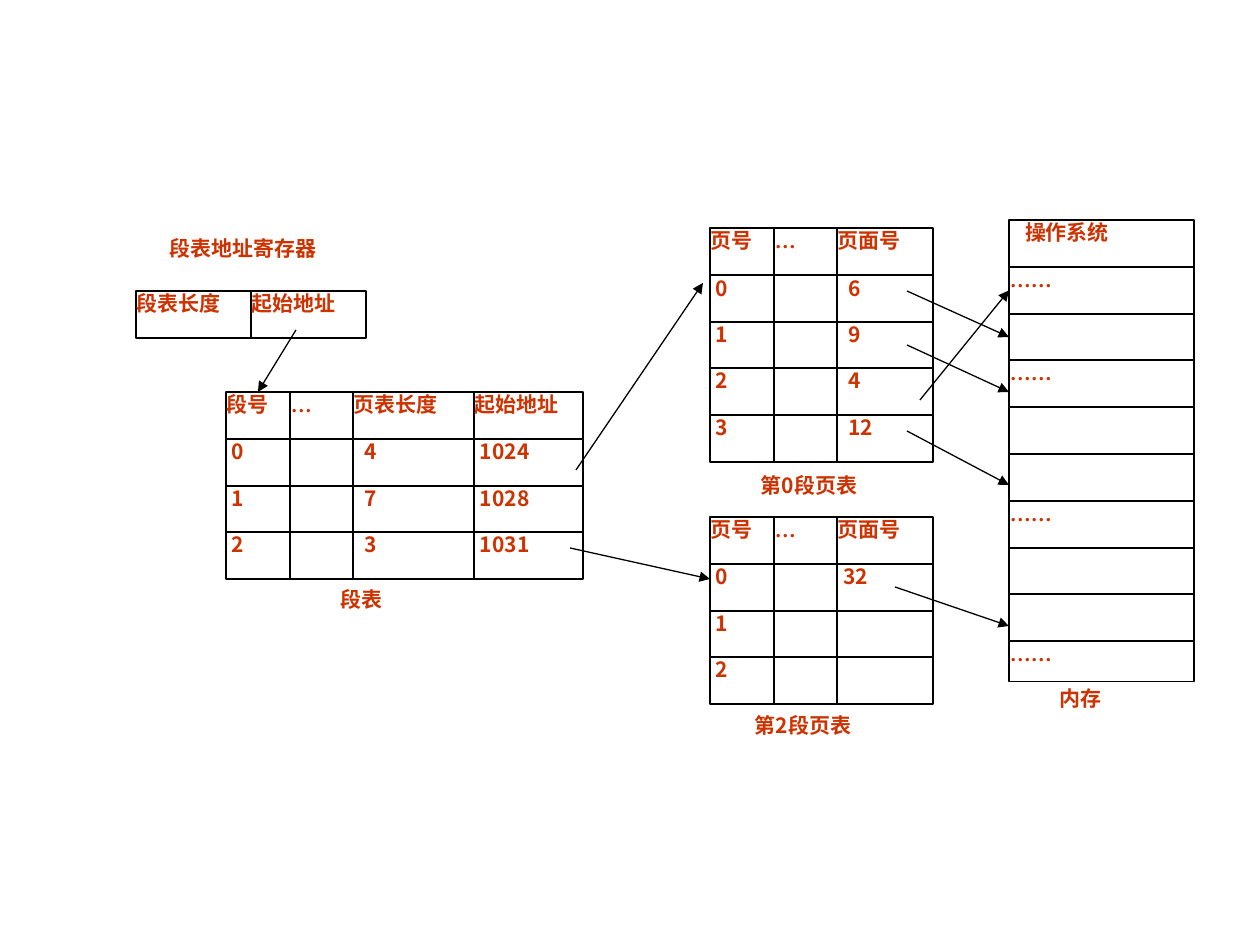
from dataclasses import dataclass
from typing import Optional

from lxml.etree import SubElement
from pptx import Presentation
from pptx.dml.color import RGBColor
from pptx.enum.shapes import MSO_CONNECTOR as Link, MSO_SHAPE as Form
from pptx.enum.text import MSO_ANCHOR as Anchor, PP_ALIGN as Align
from pptx.oxml.ns import qn
from pptx.util import Emu, Pt

SCALE = 914400 // 126
ROW = 46.8  # row pitch in px
INDENT = 5  # px per indent step
COLORS = {"text": "CC3300", "line": "000000"}
SANS, SERIF = "Noto Sans CJK SC", "Times New Roman"


@dataclass
class Grid:
    left: int
    top: int
    widths: list[int]
    rows: list[list[str]]
    steps: list[int]  # indent steps of each column below the head row
    last: int = 47  # height of the last row


@dataclass
class Label:
    text: str
    box: tuple[int, int, int, int]
    inset: tuple[int, int] = (13, 6)


@dataclass
class Arrow:
    start: tuple[int, int]
    end: tuple[int, int]
    goal: Optional[object] = None
    site: int = 1


def px(value: int) -> Emu:
    return Emu(value * SCALE)


def color(name: str) -> RGBColor:
    return RGBColor.from_string(COLORS[name])


def write(shape, text: str, side: int, top: int, indent: int = 0) -> None:
    frame = shape.text_frame
    frame.word_wrap = True
    frame.vertical_anchor = Anchor.TOP
    frame.margin_left, frame.margin_right = px(side + indent), px(side)
    frame.margin_top = frame.margin_bottom = px(top)
    if not text:
        return
    frame.text = text
    par = frame.paragraphs[0]
    par.alignment = Align.JUSTIFY
    font = par.runs[0].font
    font.name = SERIF if text[0] == "…" else SANS
    font.size, font.bold = Pt(12), True
    font.color.rgb = color("text")
    SubElement(par.runs[0]._r.get_or_add_rPr(), qn("a:ea"), typeface=font.name)


def draw_grid(shapes, grid: Grid) -> list[list]:
    """Draw the cells and return them row by row."""
    cells = []
    for i, row in enumerate(grid.rows):
        top = grid.top + round(i * ROW)
        end = grid.top + round((i + 1) * ROW)
        if i == len(grid.rows) - 1:
            end = top + grid.last
        left, line = grid.left, []
        for text, width, step in zip(row, grid.widths, grid.steps):
            cell = shapes.add_shape(
                Form.RECTANGLE, px(left), px(top), px(width), px(end - top))
            cell.shadow.inherit = False
            cell.fill.background()
            cell.line.color.rgb = color("line")
            cell.line.width = Pt(0.75)
            plain = "…" in text or (i == 0 and len(grid.widths) > 1)
            write(cell, text, 1, 0, 0 if plain else step * INDENT)
            line.append(cell)
            left += width
        cells.append(line)
    return cells


def draw_label(shapes, label: Label) -> None:
    box = shapes.add_textbox(*map(px, label.box))
    write(box, label.text, *label.inset)


def draw_arrow(shapes, arrow: Arrow) -> None:
    line = shapes.add_connector(
        Link.STRAIGHT, *map(px, arrow.start + arrow.end))
    if arrow.goal is not None:
        line.end_connect(arrow.goal, arrow.site)
    line.line.color.rgb = color("line")
    line.line.width = Pt(0.75)
    SubElement(line.line._get_or_add_ln(), qn("a:tailEnd"), type="triangle")
    SubElement(line._element.spPr, qn("a:effectLst"))


def main() -> None:
    deck = Presentation()
    deck.slide_width, deck.slide_height = px(1260), px(945)
    shapes = deck.slides.add_slide(deck.slide_layouts[6]).shapes

    draw_grid(shapes, Grid(
        136, 291, [115, 115], [["段表长度", "起始地址"]], [0, 0]))
    segments = draw_grid(shapes, Grid(
        226, 392, [64, 63, 121, 109],
        [["段号", "…", "页表长度", "起始地址"],
         ["0", "", "4", "1024"],
         ["1", "", "7", "1028"],
         ["2", "", "3", "1031"]], [1, 0, 2, 1]))

    pages = [64, 63, 96]
    head = ["页号", "…", "页面号"]
    frames = ["6", "9", "4", "12"]
    draw_grid(shapes, Grid(
        710, 228, pages,
        [head] + [[str(i), "", n] for i, n in enumerate(frames)], [1, 0, 2]))
    draw_grid(shapes, Grid(
        710, 517, pages,
        [head, ["0", "", "32"], ["1", "", ""], ["2", "", ""]], [1, 0, 1]))

    blocks = ["操作系统", "……", "", "……", "", "", "……", "", "", "……"]
    memory = draw_grid(shapes, Grid(
        1009, 220, [185], [[text] for text in blocks], [3], 41))

    for label in (
        Label("段表地址寄存器", (169, 236, 178, 54), (1, 0)),
        Label("段表", (328, 581, 115, 71)),
        Label("第0段页表", (748, 467, 185, 47)),
        Label("第2段页表", (742, 707, 185, 49)),
        Label("内存", (1047, 680, 185, 71)),
    ):
        draw_label(shapes, label)

    for arrow in (
        Arrow((296, 330), (258, 392), segments[0][0], 0),
        Arrow((576, 470), (703, 283)),
        Arrow((570, 548), (710, 579)),
        Arrow((907, 291), (1009, 337), memory[2][0]),
        Arrow((907, 345), (1009, 392)),
        Arrow((920, 400), (1009, 291), memory[1][0]),
        Arrow((907, 431), (1009, 485)),
        Arrow((895, 587), (1009, 626)),
    ):
        draw_arrow(shapes, arrow)

    deck.save("out.pptx")


if __name__ == "__main__":
    main()
